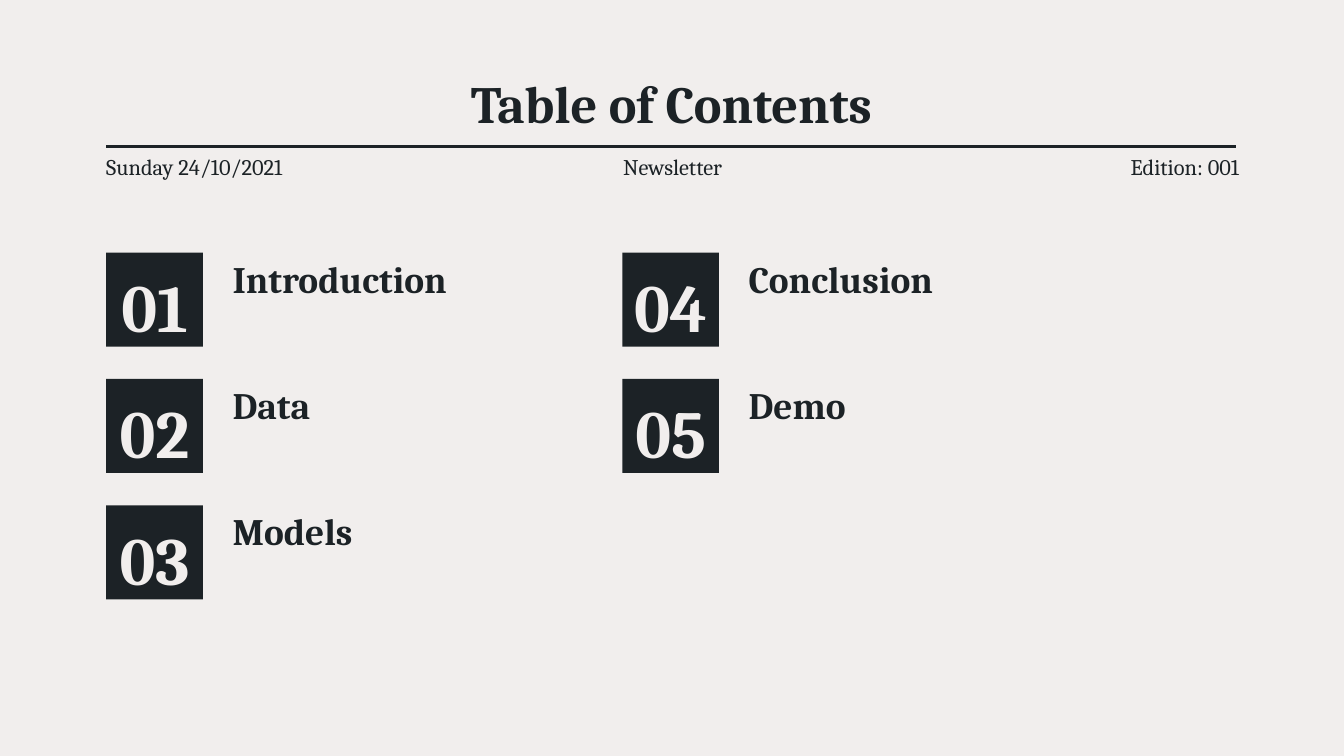
from pptx import Presentation
from pptx import util as u
from pptx.dml.color import RGBColor
from pptx.enum import shapes, text
from pptx.oxml.ns import qn
from lxml import etree

INK = RGBColor(0x1C, 0x22, 0x26)
PAPER = RGBColor(0xF1, 0xEE, 0xED)
FONT = "Cambria"
LEFT, CENTER, RIGHT = text.PP_ALIGN.LEFT, text.PP_ALIGN.CENTER, text.PP_ALIGN.RIGHT

TITLE = "Table of Contents"
MASTHEAD = [("Sunday 24/10/2021", LEFT), ("Newsletter", CENTER), ("Edition: 001", RIGHT)]
SECTIONS = ["Introduction", "Data", "Models", "Conclusion", "Demo"]

WIDTH = 10
HEIGHT = WIDTH * 9 / 16
MARGIN = 0.79
RULE_TOP, RULE_RIGHT = 1.09, 9.2
MASTHEAD_TOP, MASTHEAD_STEP = 1.14, 3.37
ROWS = 3
GRID_TOP, ROW_STEP, COLUMN_STEP = 1.88, 0.94, 3.84
BOX_WIDTH, BOX_HEIGHT = 0.72, 0.7
LABEL_LEFT, LABEL_TOP = 0.94, 0.04


def place(shape, left, top, width, height):
    shape.left, shape.top = u.Inches(left), u.Inches(top)
    shape.width, shape.height = u.Inches(width), u.Inches(height)


def write(shape, words, size, bold=True, color=INK, align=LEFT, spacing=1.0):
    frame = shape.text_frame
    frame.word_wrap = True
    frame.auto_size = text.MSO_AUTO_SIZE.NONE
    frame.vertical_anchor = text.MSO_ANCHOR.MIDDLE
    frame.margin_left = frame.margin_right = frame.margin_top = frame.margin_bottom = 0
    paragraph = frame.paragraphs[0]
    paragraph.alignment = align
    paragraph.line_spacing = spacing
    run = paragraph.add_run()
    run.text = words
    run.font.name = FONT
    run.font.size = u.Pt(size)
    run.font.bold = bold
    run.font.color.rgb = color


def add_text(slide, words, left, top, width, height, **style):
    box = slide.shapes.add_textbox(0, 0, 0, 0)
    place(box, left, top, width, height)
    write(box, words, **style)


def add_number(slide, number, left, top):
    box = slide.shapes.add_shape(shapes.MSO_SHAPE.RECTANGLE, 0, 0, 0, 0)
    place(box, left, top, BOX_WIDTH, BOX_HEIGHT)
    box.shadow.inherit = False
    box.fill.solid()
    box.fill.fore_color.rgb = INK
    box.line.fill.background()
    write(box, f"{number:02}", size=36, color=PAPER, align=CENTER, spacing=1.15)


def add_rule(slide):
    rule = slide.shapes.add_connector(
        shapes.MSO_CONNECTOR.STRAIGHT,
        u.Inches(MARGIN), u.Inches(RULE_TOP), u.Inches(RULE_RIGHT), u.Inches(RULE_TOP),
    )
    rule.line.color.rgb = INK
    rule.line.width = u.Pt(1.5)
    etree.SubElement(rule._element.spPr, qn("a:effectLst"))


def main():
    presentation = Presentation()
    presentation.slide_width, presentation.slide_height = u.Inches(WIDTH), u.Inches(HEIGHT)
    slide = presentation.slides.add_slide(presentation.slide_layouts[5])
    slide.background.fill.solid()
    slide.background.fill.fore_color.rgb = PAPER

    add_rule(slide)
    place(slide.shapes.title, 1.75, 0.53, 6.49, 0.47)
    write(slide.shapes.title, TITLE, size=28, align=CENTER)

    for index, (words, align) in enumerate(MASTHEAD):
        add_text(slide, words, MARGIN + index * MASTHEAD_STEP, MASTHEAD_TOP, 1.69, 0.2,
                 size=12, bold=False, align=align)

    for index, section in enumerate(SECTIONS):
        column, row = divmod(index, ROWS)
        left, top = MARGIN + column * COLUMN_STEP, GRID_TOP + row * ROW_STEP
        add_text(slide, section, left + LABEL_LEFT, top + LABEL_TOP, 2.65, 0.3, size=20)
        add_number(slide, index + 1, left, top)

    presentation.save("out.pptx")


if __name__ == "__main__":
    main()
